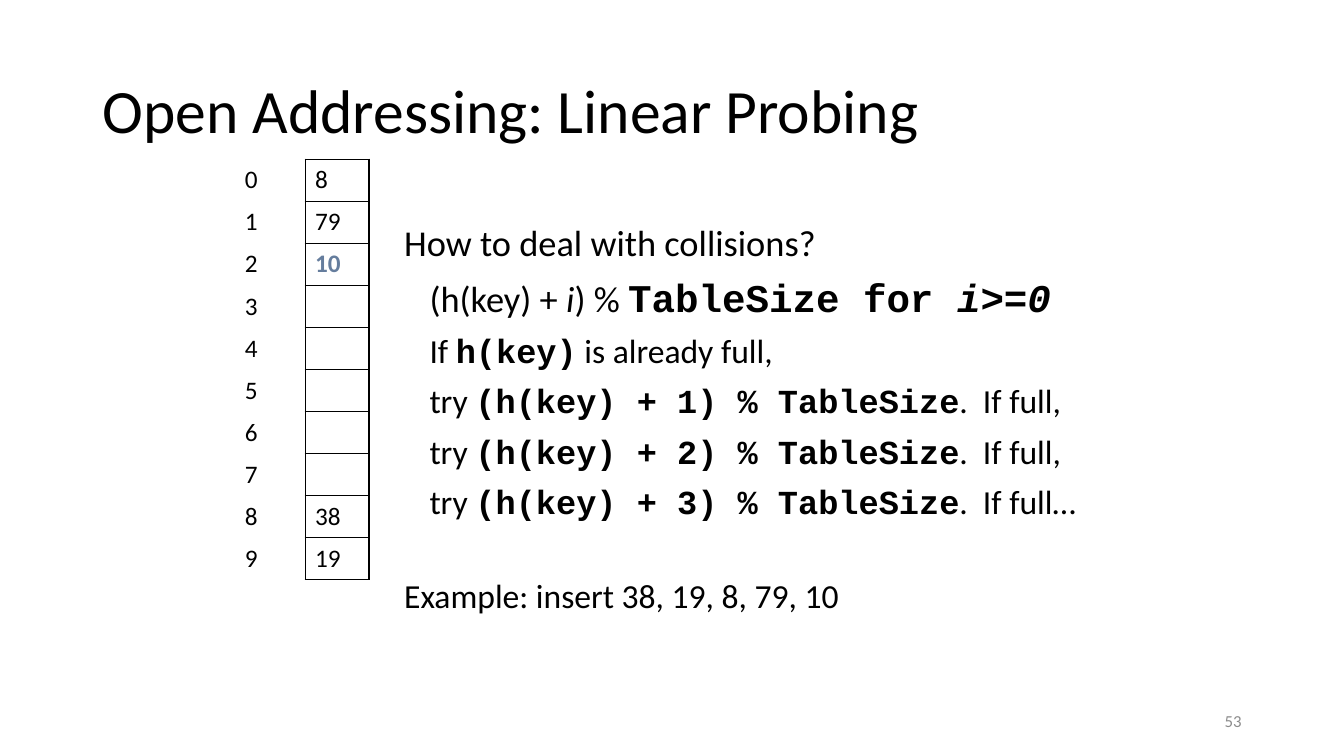
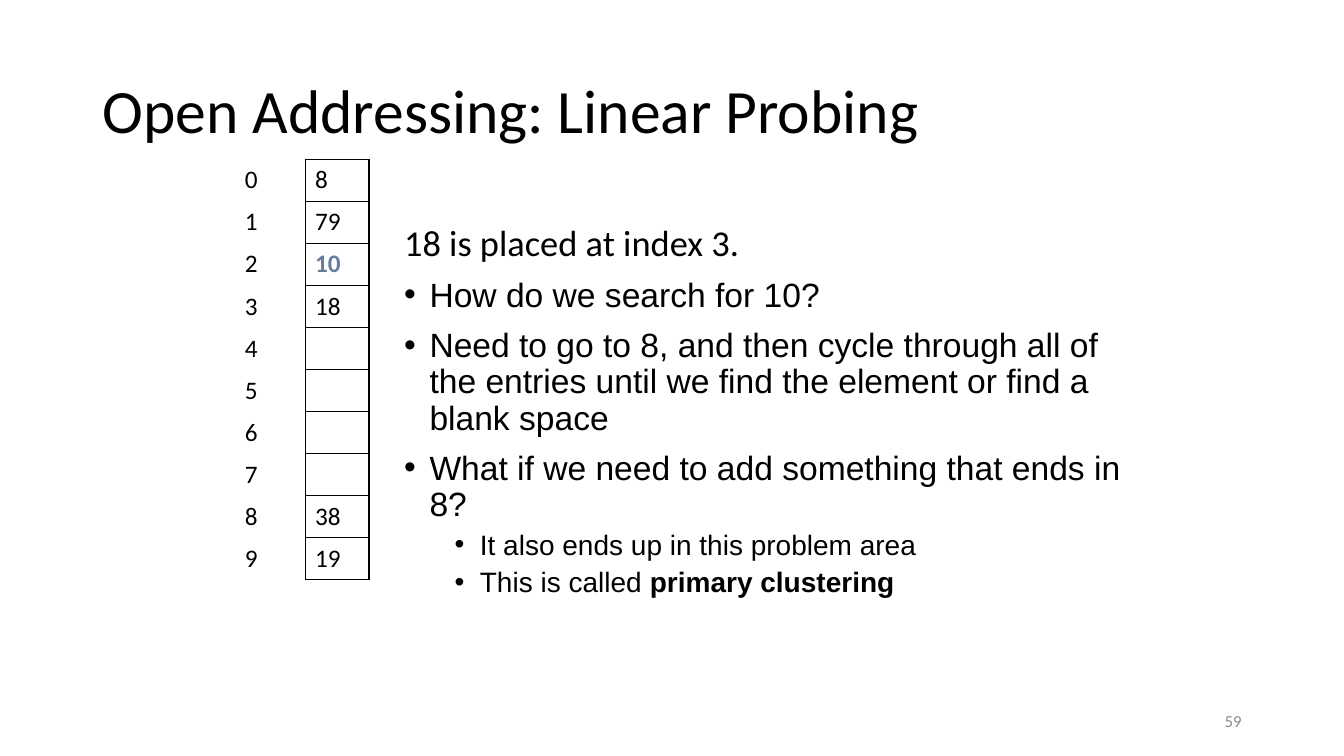
from dataclasses import dataclass

from lxml.etree import SubElement
from pptx import Presentation
from pptx.dml.color import RGBColor
from pptx.enum.text import MSO_ANCHOR, MSO_AUTO_SIZE, PP_ALIGN
from pptx.oxml import parse_xml
from pptx.oxml.ns import nsdecls, qn
from pptx.util import Cm, Pt


@dataclass(frozen=True)
class Theme:
    text: str = "000000"
    highlight: str = "657D9D"
    muted: str = "8C8C8C"
    main_font: str = "Calibri"
    list_font: str = "Arial"
    code_font: str = "Courier New"
    title_size: int = 44
    lead_size: int = 26
    formula_size: int = 28
    body_size: int = 24
    detail_size: int = 20
    cell_size: int = 18
    number_size: int = 12


THEME = Theme()
INDENT = Cm(0.64)
DETAIL_INDENT = Cm(1.91)
ROW_HEIGHT = Cm(1.06)
CODE = {"font": THEME.code_font, "bold": True}
FORMULA = {**CODE, "size": THEME.formula_size}
TITLE = "Open Addressing: Linear Probing"


# Text
def write(paragraph, text, font=THEME.main_font, size=THEME.body_size,
          color=THEME.text, bold=False, italic=False):
    """Add one formatted run to a paragraph."""
    run = paragraph.add_run()
    run.text = text
    run.font.name = font
    run.font.size = Pt(size)
    run.font.bold = bold
    run.font.italic = italic
    run.font.color.rgb = RGBColor.from_string(color)


def set_bullet(paragraph, margin, bullet):
    properties = paragraph._p.get_or_add_pPr()
    properties.set("marL", str(margin))
    properties.set("indent", str(-INDENT if bullet else 0))
    if bullet:
        SubElement(properties, qn("a:buChar")).set("char", "•")
    else:
        SubElement(properties, qn("a:buNone"))


def line(*runs, margin=0, bullet=False, level=0, before=10, **style):
    """Describe a body line; a run is a string or a (string, format) pair."""
    return {"runs": runs, "margin": margin, "bullet": bullet,
            "level": level, "before": before, "style": style}


def bullet_line(*runs):
    return line(*runs, margin=INDENT, bullet=True, font=THEME.list_font)


def detail_line(*runs):
    return line(*runs, margin=DETAIL_INDENT, bullet=True, level=1, before=5,
                font=THEME.list_font, size=THEME.detail_size)


def fill_body(shape, lines):
    frame = shape.text_frame
    frame.auto_size = MSO_AUTO_SIZE.NONE
    for index, entry in enumerate(lines):
        paragraph = frame.add_paragraph() if index else frame.paragraphs[0]
        paragraph.level = entry["level"]
        paragraph.line_spacing = 0.9
        paragraph.space_before = Pt(entry["before"] if index else 0)
        set_bullet(paragraph, entry["margin"], entry["bullet"])
        for run in entry["runs"]:
            text, extra = (run, {}) if isinstance(run, str) else run
            write(paragraph, text, **{**entry["style"], **extra})


# Hash table
def set_borders(cell, sides):
    properties = cell._tc.get_or_add_tcPr()
    for position, side in enumerate(sides):
        properties.insert(position, parse_xml(
            f'<a:ln{side} {nsdecls("a")} w="12700"><a:solidFill>'
            f'<a:srgbClr val="{THEME.text}"/></a:solidFill></a:ln{side}>'))


def add_hash_table(slide, entries, size=10, highlighted=2):
    frame = slide.shapes.add_table(size, 2, Cm(5.92), Cm(4.01),
                                   Cm(3.38), ROW_HEIGHT * size)
    table = frame.table
    table.first_row = table.horz_banding = False
    table.columns[0].width, table.columns[1].width = Cm(1.77), Cm(1.61)
    for index in range(size):
        table.rows[index].height = ROW_HEIGHT
        marked = index == highlighted
        value_style = {"bold": marked,
                       "color": THEME.highlight if marked else THEME.text}
        columns = ((index, {}, "R"), (entries.get(index), value_style, "LRTB"))
        for column, (value, style, sides) in enumerate(columns):
            cell = table.cell(index, column)
            cell.vertical_anchor = MSO_ANCHOR.MIDDLE
            cell.fill.background()
            set_borders(cell, sides)
            if value is not None:
                write(cell.text_frame.paragraphs[0], str(value),
                      size=THEME.cell_size, **style)


# Slide frame
def place(shape, left, top, width, height):
    shape.left, shape.top = Cm(left), Cm(top)
    shape.width, shape.height = Cm(width), Cm(height)


def add_slide_number(slide, number):
    box = slide.shapes.add_textbox(Cm(23.92), Cm(17.65), Cm(7.62), Cm(1.02))
    frame = box.text_frame
    frame.word_wrap = True
    frame.vertical_anchor = MSO_ANCHOR.MIDDLE
    paragraph = frame.paragraphs[0]
    paragraph.alignment = PP_ALIGN.RIGHT
    write(paragraph, str(number), size=THEME.number_size, color=THEME.muted)


def add_probing_slide(presentation, number, entries, lines):
    slide = presentation.slides.add_slide(presentation.slide_layouts[1])
    title, body = slide.shapes.title, slide.placeholders[1]
    place(title, 2.33, 1.01, 29.21, 3.68)
    title.text_frame.vertical_anchor = MSO_ANCHOR.MIDDLE
    heading = title.text_frame.paragraphs[0]
    heading.alignment = PP_ALIGN.LEFT
    heading.line_spacing = 0.9
    write(heading, TITLE, size=THEME.title_size)
    place(body, 9.93, 5.54, 19.05, 11.81)
    fill_body(body, lines)
    add_hash_table(slide, entries)
    add_slide_number(slide, number)


def main():
    presentation = Presentation()
    presentation.slide_width, presentation.slide_height = Cm(33.87), Cm(19.05)
    entries = {0: 8, 1: 79, 2: 10, 8: 38, 9: 19}

    # Probing rule
    attempts = [
        line("try ", (f"(h(key) + {step}) % TableSize", CODE), ending,
             margin=INDENT)
        for step, ending in enumerate(
            (".  If full,", ".  If full,", ".  If full…"), start=1)
    ]
    add_probing_slide(presentation, 53, entries, [
        line("How to deal with collisions?", size=THEME.lead_size),
        line("(h(key) + ", ("i", {"italic": True}), ") % ",
             ("TableSize for ", FORMULA),
             ("i>=0", {**FORMULA, "italic": True}),
             margin=INDENT, size=THEME.lead_size),
        line("If ", ("h(key)", CODE), " is already full,", margin=INDENT),
        *attempts,
        line("Example: insert 38, 19, 8, 79, 10", before=41),
    ])

    # Searching and clustering
    add_probing_slide(presentation, 59, {**entries, 3: 18}, [
        line("18 is placed at index 3.", size=THEME.lead_size),
        bullet_line("How do we search for 10?"),
        bullet_line("Need to go to 8, and then cycle through all of the "
                    "entries until we find the element or find a blank space"),
        bullet_line("What if we need to add something that ends in 8?"),
        detail_line("It also ends up in this problem area"),
        detail_line("This is called ", ("primary clustering", {"bold": True})),
    ])
    presentation.save("out.pptx")


if __name__ == "__main__":
    main()
